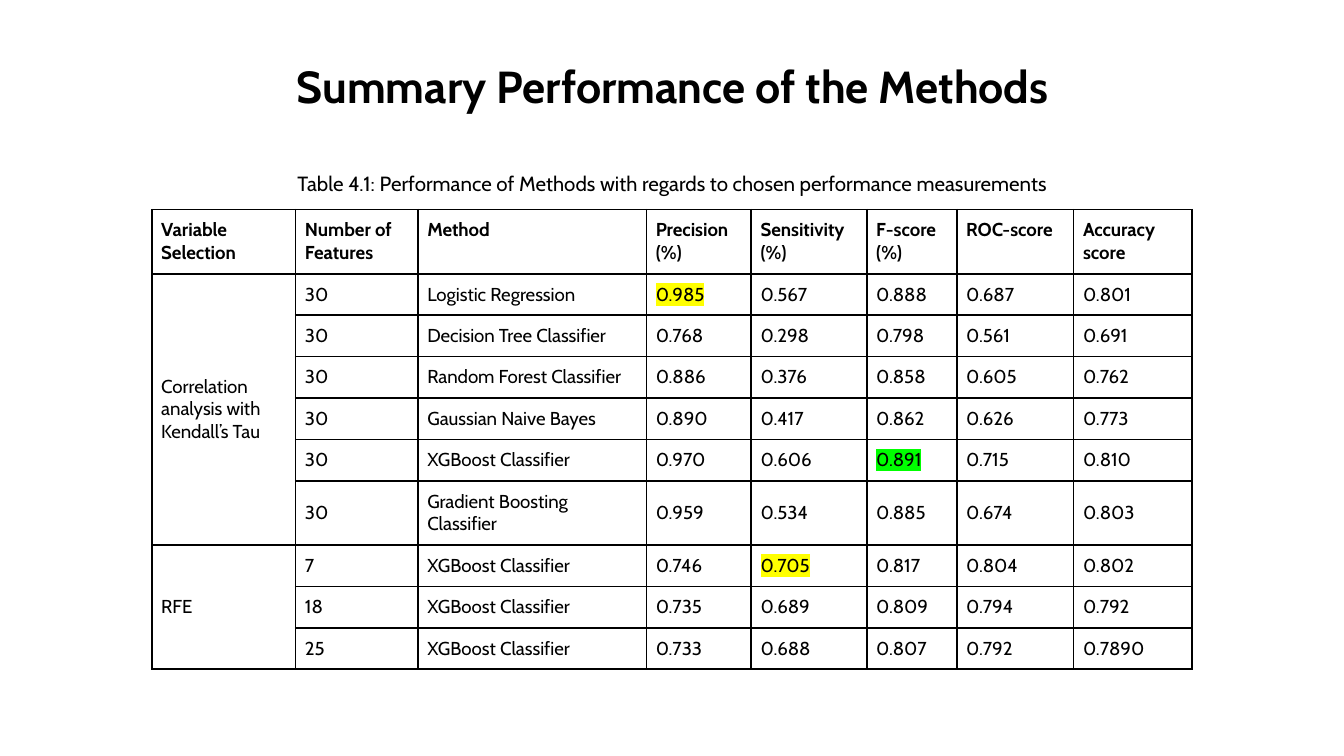
"""Build a slide with a table comparing the performance of classification methods."""
import pptx
import pptx.dml.color
import pptx.enum.text
import pptx.oxml
import pptx.oxml.ns
import pptx.util
from pptx.util import Inches

FONT = "Cabin"
BLACK, YELLOW, GREEN = "000000", "FFFF00", "00FF00"
TITLE = "Summary Performance of the Methods"
CAPTION = "Table 4.1: Performance of Methods with regards to chosen performance measurements"
HEADER = ["Variable Selection", "Number of Features", "Method", "Precision (%)",
          "Sensitivity (%)", "F-score (%)", "ROC-score", "Accuracy score"]
GROUPS = [
    ("Correlation analysis with Kendall’s Tau", [
        ("30", "Logistic Regression", "0.985", "0.567", "0.888", "0.687", "0.801"),
        ("30", "Decision Tree Classifier", "0.768", "0.298", "0.798", "0.561", "0.691"),
        ("30", "Random Forest Classifier", "0.886", "0.376", "0.858", "0.605", "0.762"),
        ("30", "Gaussian Naive Bayes", "0.890", "0.417", "0.862", "0.626", "0.773"),
        ("30", "XGBoost Classifier", "0.970", "0.606", "0.891", "0.715", "0.810"),
        ("30", "Gradient Boosting Classifier", "0.959", "0.534", "0.885", "0.674", "0.803"),
    ]),
    ("RFE", [
        ("7", "XGBoost Classifier", "0.746", "0.705", "0.817", "0.804", "0.802"),
        ("18", "XGBoost Classifier", "0.735", "0.689", "0.809", "0.794", "0.792"),
        ("25", "XGBoost Classifier", "0.733", "0.688", "0.807", "0.792", "0.7890"),
    ]),
]
HIGHLIGHTS = {(1, 3): YELLOW, (5, 5): GREEN, (7, 4): YELLOW}
COL_WIDTHS = [1.07, 0.91, 1.7, 0.78, 0.86, 0.67, 0.87, 0.88]
ROW_HEIGHT, TWO_LINE_HEIGHT = 0.3, 0.47
TWO_LINE_ROWS = {0, 6}
MIDDLE = pptx.enum.text.MSO_ANCHOR.MIDDLE
TOP = pptx.enum.text.MSO_ANCHOR.TOP
CENTER = pptx.enum.text.PP_ALIGN.CENTER
NS = pptx.oxml.ns.nsdecls("a")


def rgb(color):
    return pptx.dml.color.RGBColor.from_string(color)


def write(tf, text, size, bold=False, align=None):
    p = tf.paragraphs[0]
    p.text = text
    p.alignment = align
    p.font.name, p.font.size, p.font.bold = FONT, pptx.util.Pt(size), bold
    p.font.color.rgb = rgb(BLACK)


def write_box(sp, text, size, bold=False):
    tf = sp.text_frame
    tf.word_wrap = True
    tf.vertical_anchor = TOP
    tf.margin_left = tf.margin_right = tf.margin_top = tf.margin_bottom = Inches(0.1)
    write(tf, text, size, bold, CENTER)


def write_cell(cell, text, header):
    cell.margin_left = cell.margin_right = Inches(0.07)
    cell.margin_top = cell.margin_bottom = Inches(0.07)
    cell.vertical_anchor = TOP if header else MIDDLE
    write(cell.text_frame, text, 10, header)


def add_borders(cell):
    tcPr = cell._tc.get_or_add_tcPr()
    for side in ("lnL", "lnR", "lnT", "lnB"):
        tcPr.append(pptx.oxml.parse_xml(
            f'<a:{side} {NS} w="12700"><a:solidFill><a:srgbClr val="{BLACK}"/>'
            f'</a:solidFill></a:{side}>'))


def highlight(cell, color):
    rPr = cell.text_frame.paragraphs[0].runs[0]._r.get_or_add_rPr()
    rPr.append(pptx.oxml.parse_xml(
        f'<a:highlight {NS}><a:srgbClr val="{color}"/></a:highlight>'))


def add_performance_table(slide):
    rows = [HEADER]
    spans = []
    for selection, results in GROUPS:
        spans.append((len(rows), len(rows) + len(results) - 1))
        rows += [(selection if i == 0 else "", *result) for i, result in enumerate(results)]
    heights = [TWO_LINE_HEIGHT if r in TWO_LINE_ROWS else ROW_HEIGHT for r in range(len(rows))]
    table = slide.shapes.add_table(
        len(rows), len(HEADER), Inches(1.13), Inches(1.56),
        Inches(sum(COL_WIDTHS)), Inches(sum(heights))).table
    table.first_row = table.horz_banding = False
    for column, width in zip(table.columns, COL_WIDTHS):
        column.width = Inches(width)
    for r, values in enumerate(rows):
        table.rows[r].height = Inches(heights[r])
        for c, text in enumerate(values):
            cell = table.cell(r, c)
            write_cell(cell, text, header=r == 0)
            add_borders(cell)
            cell.fill.background()
    for first, last in spans:
        table.cell(first, 0).merge(table.cell(last, 0))
    for position, color in HIGHLIGHTS.items():
        highlight(table.cell(*position), color)


def main():
    prs = pptx.Presentation()
    prs.slide_width = Inches(10)
    prs.slide_height = prs.slide_width * 9 // 16
    slide = prs.slides.add_slide(prs.slide_layouts[5])
    add_performance_table(slide)

    title = slide.shapes.title
    title.left, title.top, title.width, title.height = map(Inches, (0.2, 0.34, 9.61, 0.63))
    write_box(title, TITLE, 24, bold=True)

    caption = slide.shapes.add_textbox(*map(Inches, (1.84, 1.18, 6.33, 0.39)))
    write_box(caption, CAPTION, 11)
    prs.save("out.pptx")


if __name__ == "__main__":
    main()
